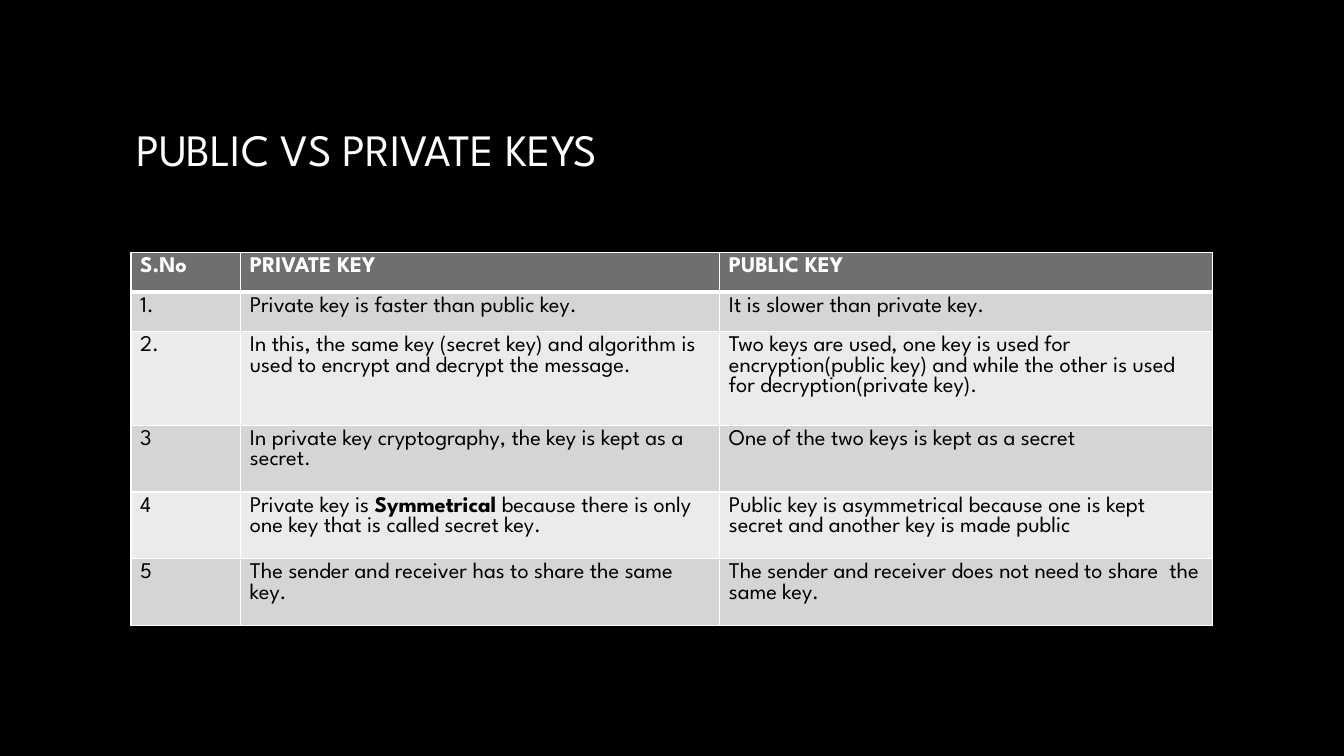
from dataclasses import dataclass

from lxml.etree import SubElement
from pptx import Presentation
from pptx.dml.color import RGBColor as RGB
from pptx.enum.text import MSO_ANCHOR as ANCHOR
from pptx.oxml import parse_xml
from pptx.oxml.ns import nsdecls, qn
from pptx.util import Cm, Pt


@dataclass(frozen=True)
class Theme:
    font: str = "League Spartan"
    title_size: int = 32
    table_size: int = 16
    background: str = "000000"
    light: str = "FFFFFF"
    title_end: str = "A6A6A6"
    dark: str = "000000"
    header: str = "6F6F6F"
    bands: tuple = ("D5D5D5", "EBEBEB")
    border: int = 1
    header_rule: int = 3


THEME = Theme()
COLUMN_WIDTHS = (2.77, 12.07, 12.41)
ROW_HEIGHTS = (1.0, 1.0, 2.36, 1.68, 1.68, 1.68)

# A cell is a list of runs; every second run is emphasised.
ROWS = [
    (["S.No"], ["PRIVATE KEY"], ["PUBLIC KEY"]),
    (["1."], ["Private key is faster than public key."],
     ["It is slower than private key."]),
    (["2."],
     ["In this, the same key (secret key) and algorithm is used to encrypt "
      "and decrypt the message."],
     ["Two keys are used, one key is used for encryption(public key) and "
      "while the other is used for decryption(private key)."]),
    (["3"], ["In private key cryptography, the key is kept as a secret."],
     ["One of the two keys is kept as a secret"]),
    (["4"],
     ["Private key is ", "Symmetrical",
      " because there is only one key that is called secret key."],
     ["Public key is asymmetrical because one is kept secret and another "
      "key is made public"]),
    (["5"], ["The sender and receiver has to share the same key."],
     ["The sender and receiver does not need to share  the same key."]),
]


def add_run(p, text, size):
    r = p.add_run()
    r.text = text
    r.font.name = THEME.font
    r.font.size = Pt(size)
    return r


def add_text_shadow(r):
    fill = r.font._element.find(qn("a:gradFill"))
    fill.addnext(parse_xml(
        f'<a:effectLst {nsdecls("a")}>'
        '<a:outerShdw blurRad="38100" dist="25400" dir="2700000">'
        '<a:srgbClr val="000000"><a:alpha val="40000"/></a:srgbClr>'
        '</a:outerShdw></a:effectLst>'))


def add_title(s, text):
    sp = s.shapes.add_textbox(Cm(3.18), Cm(1.7), Cm(27.51), Cm(4.09))
    tf = sp.text_frame
    tf.word_wrap = True
    tf.vertical_anchor = ANCHOR.MIDDLE
    r = add_run(tf.paragraphs[0], text, THEME.title_size)
    fill = r.font.fill
    fill.gradient()
    fill.gradient_angle = 267
    for stop, color in zip(fill.gradient_stops, (THEME.light, THEME.title_end)):
        stop.color.rgb = RGB.from_string(color)
    add_text_shadow(r)


def set_borders(cell, widths):
    """Draw the left, right, top and bottom borders, in that order."""
    tc_pr = cell._tc.get_or_add_tcPr()
    for i, (side, width) in enumerate(zip("LRTB", widths)):
        ln = SubElement(tc_pr, qn(f"a:ln{side}"), w=str(Pt(width)))
        fill = SubElement(ln, qn("a:solidFill"))
        SubElement(fill, qn("a:srgbClr"), val=THEME.light)
        tc_pr.insert(i, ln)


def fill_cell(cell, runs, row):
    is_header = row == 0
    cell.fill.solid()
    cell.fill.fore_color.rgb = RGB.from_string(
        THEME.header if is_header else THEME.bands[(row - 1) % 2])
    cell.margin_left = cell.margin_right = Cm(0.23)
    cell.margin_top = cell.margin_bottom = Cm(0.11)
    p = cell.text_frame.paragraphs[0]
    for i, text in enumerate(runs):
        r = add_run(p, text, THEME.table_size)
        r.font.bold = is_header or i % 2 == 1
        r.font.color.rgb = RGB.from_string(
            THEME.light if is_header else THEME.dark)
    top = THEME.header_rule if row == 1 else THEME.border
    bottom = THEME.header_rule if is_header else THEME.border
    set_borders(cell, (THEME.border, THEME.border, top, bottom))


def add_comparison_table(s):
    table = s.shapes.add_table(
        len(ROWS), len(COLUMN_WIDTHS), Cm(3.3), Cm(6.36),
        Cm(sum(COLUMN_WIDTHS)), Cm(sum(ROW_HEIGHTS))).table
    for column, width in zip(table.columns, COLUMN_WIDTHS):
        column.width = Cm(width)
    for row, height in zip(table.rows, ROW_HEIGHTS):
        row.height = Cm(height)
    for i, cells in enumerate(ROWS):
        for j, runs in enumerate(cells):
            fill_cell(table.cell(i, j), runs, i)


def main():
    prs = Presentation()
    prs.slide_width, prs.slide_height = Cm(33.87), Cm(19.05)
    s = prs.slides.add_slide(prs.slide_layouts[6])
    s.background.fill.solid()
    s.background.fill.fore_color.rgb = RGB.from_string(THEME.background)
    add_title(s, "PUBLIC VS PRIVATE KEYS")
    add_comparison_table(s)
    prs.save("out.pptx")


if __name__ == "__main__":
    main()
